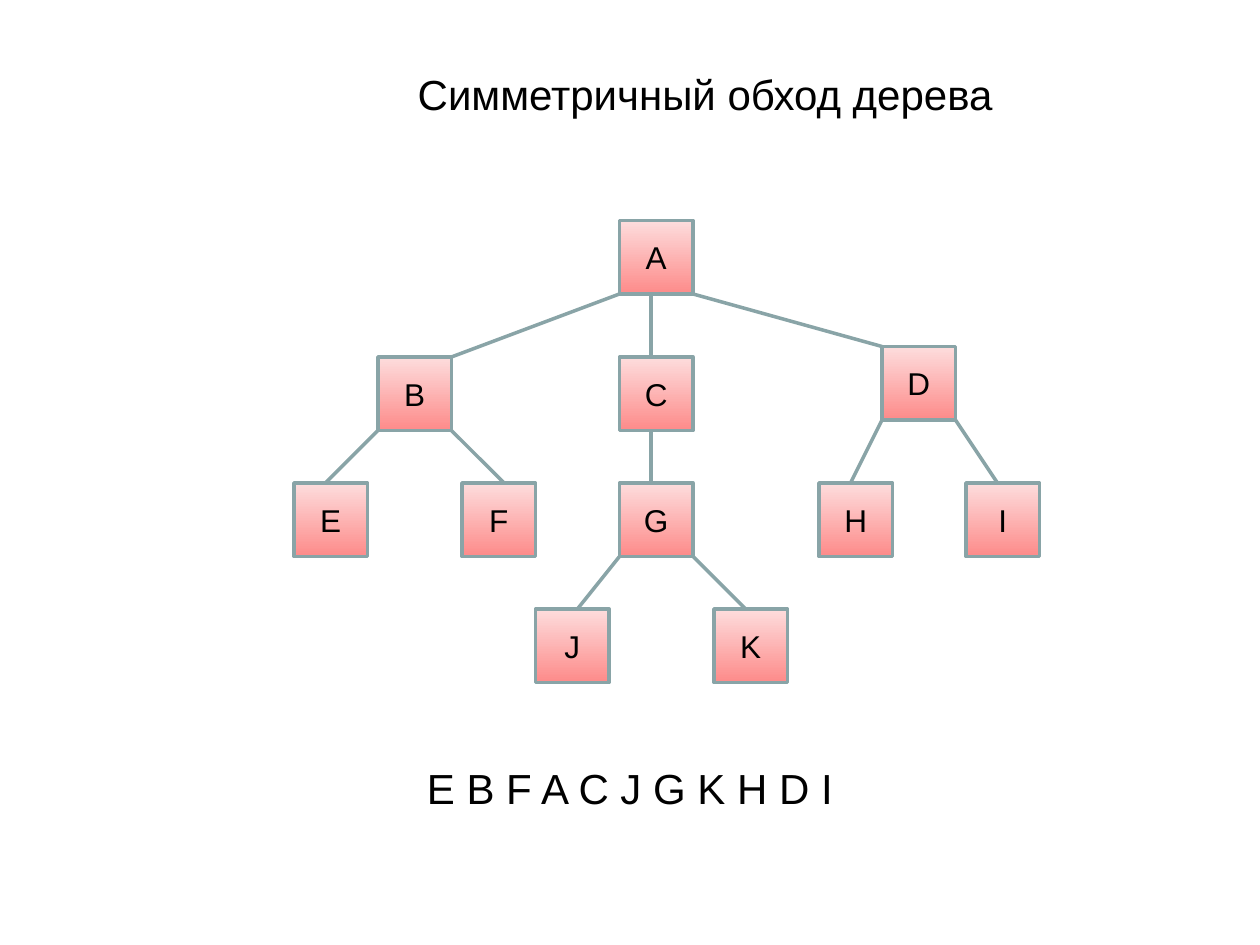
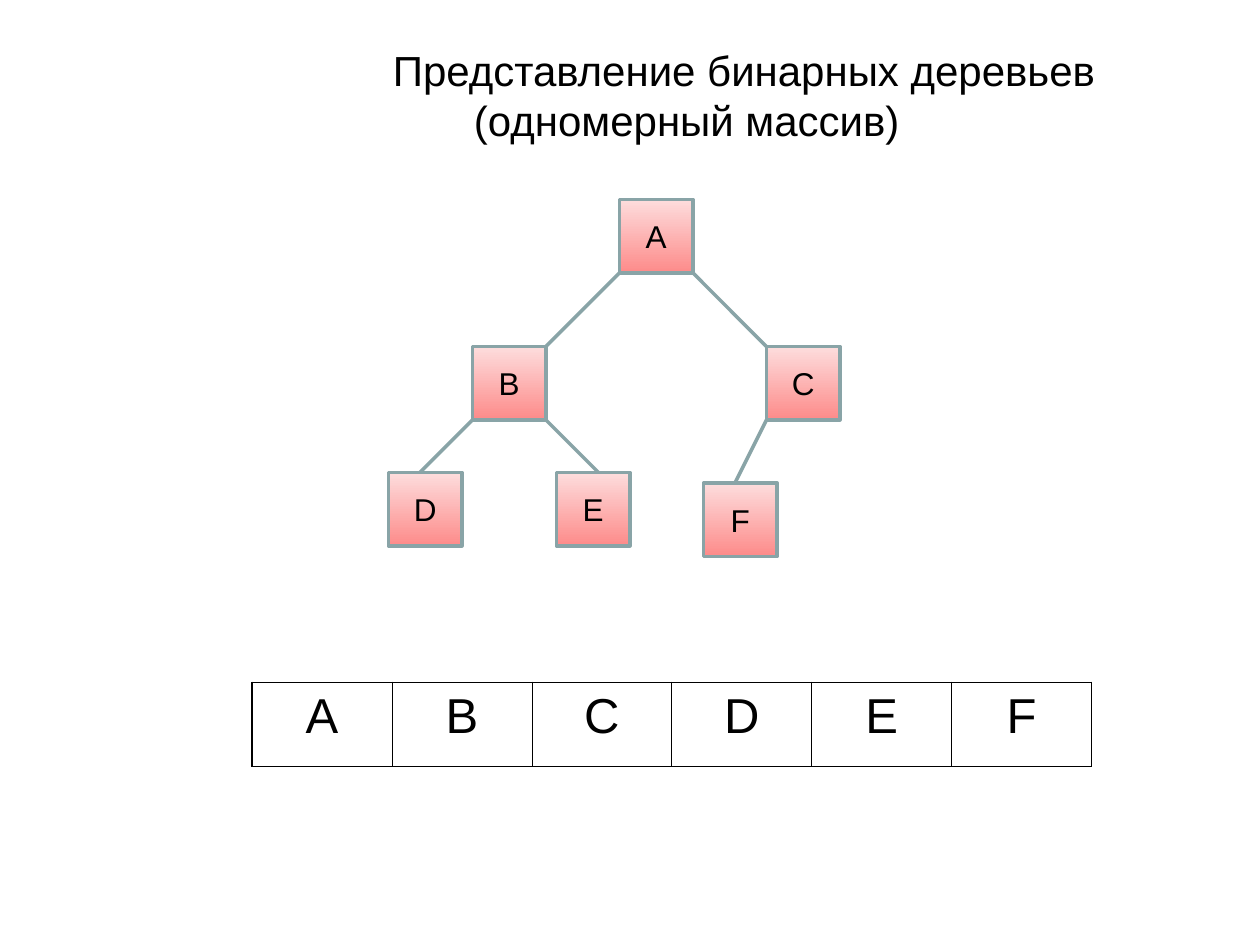
"""Builds two slides on tree traversal and on storing a binary tree in an array."""
from lxml import etree
from pptx import Presentation
from pptx.dml.color import RGBColor
from pptx.enum.shapes import MSO_CONNECTOR, MSO_SHAPE
from pptx.enum.text import MSO_ANCHOR, PP_ALIGN
from pptx.oxml.ns import qn
from pptx.util import Cm, Pt

RECT = MSO_SHAPE.RECTANGLE
STRAIGHT = MSO_CONNECTOR.STRAIGHT
MIDDLE, TOP = MSO_ANCHOR.MIDDLE, MSO_ANCHOR.TOP
CENTER = PP_ALIGN.CENTER

COLORS = {"text": "000000", "line": "89A4A7", "node_top": "FDDDDD", "node_bottom": "FD8B8A"}
FONT = "Arial"
GRID = 2.54 / 12
NODE = 7

TREES = [
    {
        "title": [("Симметричный обход дерева", 0)],
        "title_box": (4.45, 0.43, 19.53, 2.9),
        "nodes": {"A": (59, 21), "B": (36, 34), "C": (59, 34), "D": (84, 33),
                  "E": (28, 46), "F": (44, 46), "G": (59, 46), "H": (78, 46),
                  "I": (92, 46), "J": (51, 58), "K": (68, 58)},
        "edges": [("A", 0, "B", 7), ("A", 3, "C", 3), ("A", 7, "D", 0),
                  ("B", 0, "E", 3), ("B", 7, "F", 4), ("C", 3, "G", 3),
                  ("D", 0, "H", 3), ("D", 7, "I", 3), ("G", 0, "J", 4), ("G", 7, "K", 3)],
    },
    {
        "title": [("Представление бинарных деревьев", 2.54), ("(одномерный массив)", 0.23)],
        "title_box": (2.06, 0.43, 23.34, 2.97),
        "nodes": {"А": (59, 19), "B": (45, 33), "С": (73, 33),
                  "D": (37, 45), "E": (53, 45), "F": (67, 46)},
        "edges": [("А", 0, "B", 7), ("А", 7, "С", 0), ("B", 0, "D", 3),
                  ("B", 7, "E", 4), ("С", 0, "F", 3)],
    },
]


def write(p, text, size):
    p.alignment = CENTER
    r = p.add_run()
    r.text = text
    r.font.name = FONT
    r.font.size = Pt(size)
    r.font.color.rgb = RGBColor.from_string(COLORS["text"])


def add_text_box(s, box, lines, anchor):
    tf = s.shapes.add_textbox(*map(Cm, box)).text_frame
    tf.word_wrap = True
    tf.vertical_anchor = anchor
    for i, (text, indent) in enumerate(lines):
        p = tf.add_paragraph() if i else tf.paragraphs[0]
        write(p, text, 24)
        p._p.get_or_add_pPr().set("marL", str(Cm(indent)))


prs = Presentation()
prs.slide_width, prs.slide_height = Cm(25.4), Cm(19.05)

for tree in TREES:
    s = prs.slides.add_slide(prs.slide_layouts[6])
    add_text_box(s, tree["title_box"], tree["title"], MIDDLE)

    for name, (x, y) in tree["nodes"].items():
        sp = s.shapes.add_shape(RECT, *(Cm(v * GRID) for v in (x, y, NODE, NODE)))
        sp.shadow.inherit = False
        sp.fill.gradient()
        sp.fill.gradient_angle = 270
        for stop, position, key in zip(sp.fill.gradient_stops, (0, 1), ("node_top", "node_bottom")):
            stop.position = position
            stop.color.rgb = RGBColor.from_string(COLORS[key])
        sp.line.color.rgb = RGBColor.from_string(COLORS["line"])
        sp.line.width = Pt(2)
        tf = sp.text_frame
        tf.margin_left = tf.margin_right = tf.margin_top = tf.margin_bottom = 0
        tf.vertical_anchor = MIDDLE
        write(tf.paragraphs[0], name, 18)

    for parent, parent_dx, child, child_dx in tree["edges"]:
        x1, y1 = tree["nodes"][parent]
        x2, y2 = tree["nodes"][child]
        ends = (x1 + parent_dx, y1 + NODE, x2 + child_dx, y2)
        edge = s.shapes.add_connector(STRAIGHT, *(Cm(v * GRID) for v in ends))
        edge.line.color.rgb = RGBColor.from_string(COLORS["line"])
        edge.line.width = Pt(2)
        etree.SubElement(edge._element.spPr, qn("a:effectLst"))

traversal_slide, array_slide = prs.slides
add_text_box(traversal_slide, (2.33, 15.24, 20.74, 1.27), [("E B F A C J G K H D I", 0)], TOP)

letters = "ABCDEF"
frame = array_slide.shapes.add_table(1, len(letters), Cm(5.08), Cm(13.76), Cm(16.93), Cm(1.69))
table = frame.table
table.first_row = table.horz_banding = False
for i, letter in enumerate(letters):
    cell = table.cell(0, i)
    write(cell.text_frame.paragraphs[0], letter, 28)
    tc_pr = cell._tc.get_or_add_tcPr()
    widths = {"L": 0.45 if i else 1.08,
              "R": 0.45 if i < len(letters) - 1 else 1.08,
              "T": 1.08, "B": 1.08}
    for side, width in widths.items():
        ln = etree.SubElement(tc_pr, qn("a:ln" + side), w=str(Pt(width)))
        fill = etree.SubElement(ln, qn("a:solidFill"))
        etree.SubElement(fill, qn("a:srgbClr"), val=COLORS["text"])
    cell.fill.background()

prs.save("out.pptx")
